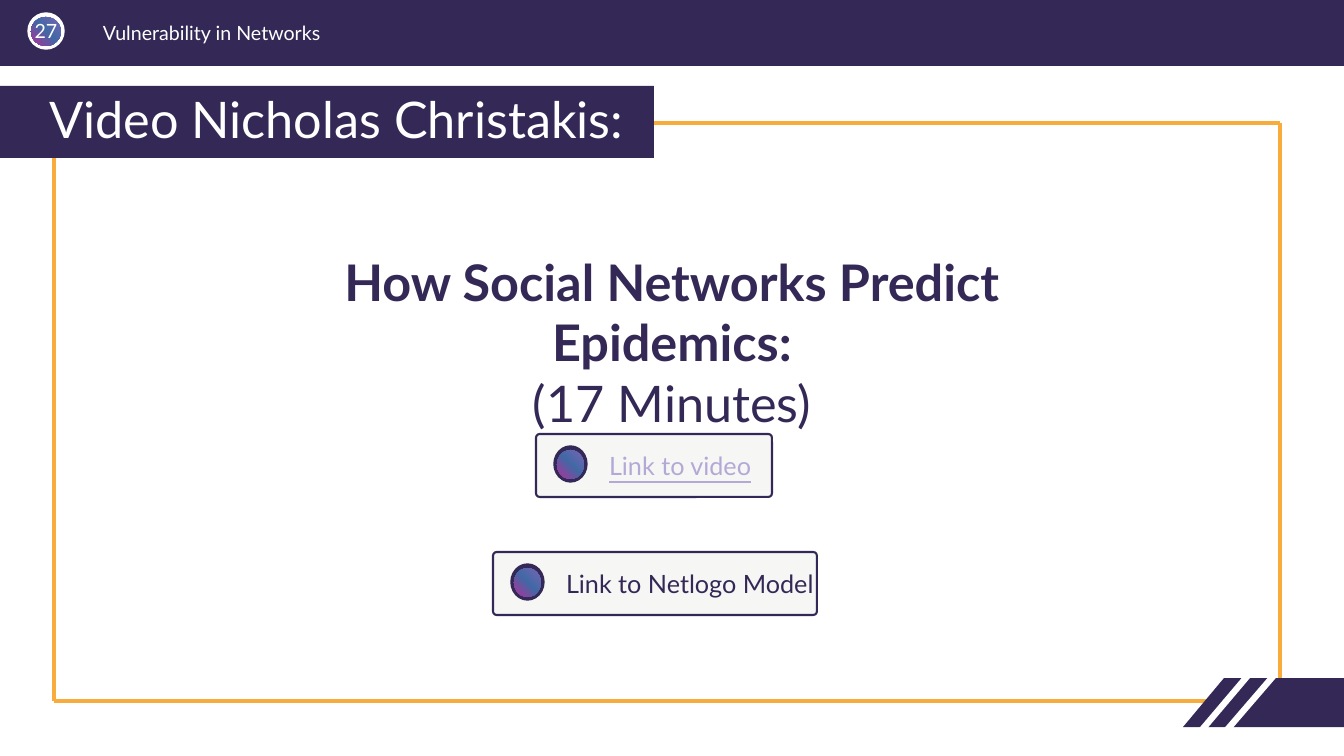
from copy import deepcopy

from pptx import Presentation
from pptx.dml.color import RGBColor
from pptx.enum.shapes import MSO_CONNECTOR, MSO_SHAPE
from pptx.enum.text import MSO_ANCHOR, PP_ALIGN
from pptx.oxml.ns import qn
from pptx.util import Emu, Pt
from lxml.etree import SubElement

SCALE = 914400 / 100.8
NAVY, GOLD, WHITE = "342956", "F7AC3B", "FFFFFF"
PALE, LILAC = "F6F6F5", "B4A9D6"
BLEND = [("7864B5", 0), ("4269A5", 0.49), ("B2329A", 1)]
TITLE_ONLY = 5


def px(num):
    """Turn pixels into EMU."""
    return Emu(round(num * SCALE))


def tint(fmt, code):
    """Set a solid fill from a hex string."""
    fmt.solid()
    fmt.fore_color.rgb = RGBColor.from_string(code)


def place(item, box):
    """Move an item to a box of left, top, width and height."""
    item.left, item.top, item.width, item.height = map(px, box)


def shape(slide, kind, box, code, edge=None, weight=1):
    """Add a flat preset shape."""
    item = slide.shapes.add_shape(kind, *map(px, box))
    item.shadow.inherit = False
    tint(item.fill, code)
    if edge:
        tint(item.line.fill, edge)
        item.line.width = Pt(weight)
    else:
        item.line.fill.background()
    return item


def line(slide, start, end, code, weight):
    """Add a straight line without a shadow."""
    item = slide.shapes.add_connector(
        MSO_CONNECTOR.STRAIGHT, *map(px, start + end))
    tint(item.line.fill, code)
    item.line.width = Pt(weight)
    SubElement(item.element.spPr, qn("a:effectLst"))


def write(frame, rows, pads, align=PP_ALIGN.LEFT, anchor=MSO_ANCHOR.TOP):
    """Fill a frame with one paragraph per (text, size, colour, style) row."""
    frame.word_wrap = True
    frame.vertical_anchor = anchor
    (frame.margin_left, frame.margin_top,
     frame.margin_right, frame.margin_bottom) = map(px, pads)
    for num, (text, size, code, style) in enumerate(rows):
        para = frame.paragraphs[0] if num == 0 else frame.add_paragraph()
        para.alignment = align
        run = para.add_run()
        run.text = text
        font = run.font
        font.name, font.size = "Lato", Pt(size)
        font.bold = style == "bold"
        font.underline = style == "under"
        tint(font.fill, code)


def label(slide, box, rows, pads, align=PP_ALIGN.LEFT):
    """Add a text box."""
    item = slide.shapes.add_textbox(*map(px, box))
    write(item.text_frame, rows, pads, align)


def badge(slide, box, rim):
    """Draw a blended disc inside a plain rim."""
    left, top, wide, high = box
    shape(slide, MSO_SHAPE.OVAL, box, rim, rim)
    disc = shape(slide, MSO_SHAPE.OVAL,
                 (left + 3, top + 4, wide - 6, high - 7), WHITE)
    fill = disc.fill
    fill.gradient()
    fill.gradient_angle = 225
    stops = fill.gradient_stops
    first = disc.element.spPr.find(".//" + qn("a:gs"))
    first.addnext(deepcopy(first))
    stops = fill.gradient_stops
    for stop, (code, spot) in zip(stops, BLEND):
        stop.color.rgb = RGBColor.from_string(code)
        stop.position = spot


def header(slide, box):
    """Draw the top band with page number and course name."""
    left, top, wide, high = box
    shape(slide, MSO_SHAPE.RECTANGLE, box, NAVY)
    badge(slide, (left + 28, top + 13, 36, 36), WHITE)
    label(slide, (left + 28, top + 19, 36, 24), [("27", 14, WHITE, "")],
          (0, 0, 0, 0), PP_ALIGN.CENTER)
    label(slide, (left + 93, top + 16, 566, 30),
          [("Vulnerability in Networks", 14, WHITE, "")], (10, 5, 10, 5))


def border(slide, box):
    """Draw the gold frame, open at the lower right."""
    left, top, wide, high = box
    right, base = left + wide, top + high
    for start, end in [((left, top), (right, top)),
                       ((right, top), (right, base - 23)),
                       ((left, top), (left, base)),
                       ((left, base), (right - 60, base))]:
        line(slide, start, end, GOLD, 2.25)


def corner(slide, box):
    """Draw the slanted corner block cut by two white stripes."""
    left, top, wide, high = box
    right, base = left + wide, top + high
    pen = slide.shapes.build_freeform(left + 41, top, scale=SCALE)
    pen.add_line_segments([(right, top), (right, base), (left, base)])
    block = pen.convert_to_shape()
    block.shadow.inherit = False
    tint(block.fill, NAVY)
    block.line.fill.background()
    for low, peak, rise in [(12, 73, 12), (37, 93, 5)]:
        line(slide, (left + low, base + 11), (left + peak, top - rise),
             WHITE, 4.5)


def heading(slide, box, text):
    """Place the title on its navy bar in front of the frame."""
    title = slide.shapes.title
    slide.shapes.element.append(title.element)
    place(title, box)
    tint(title.fill, NAVY)
    write(title.text_frame, [(text, 36, WHITE, "")], (49, 5, 10, 5),
          anchor=MSO_ANCHOR.MIDDLE)
    title.text_frame.paragraphs[0].line_spacing = 0.9


def button(slide, box, text, code, style):
    """Draw a link button with a disc at its left."""
    left, top, wide, high = box
    item = shape(slide, MSO_SHAPE.ROUNDED_RECTANGLE, box, PALE, NAVY, 1.5)
    item.adjustments[0] = 0.06
    write(item.text_frame, [(text, 18, code, style)], (72, 0, 0, 0),
          anchor=MSO_ANCHOR.MIDDLE)
    badge(slide, (left + 18, top + 12, 33, 36), NAVY)


def main():
    """Build and save the slide."""
    deck = Presentation()
    deck.slide_width, deck.slide_height = px(1344), px(756)
    slide = deck.slides.add_slide(deck.slide_layouts[TITLE_ONLY])
    header(slide, (0, 0, 1344, 66))
    border(slide, (54, 123, 1226, 578))
    corner(slide, (1183, 678, 161, 49))
    heading(slide, (0, 86, 654, 72), "Video Nicholas Christakis:")
    label(slide, (224, 246, 896, 132),
          [("How Social Networks Predict Epidemics:", 36, NAVY, "bold"),
           ("(17 Minutes)", 36, NAVY, "")], (10, 5, 10, 5), PP_ALIGN.CENTER)
    button(slide, (536, 434, 236, 63), "Link to video", LILAC, "under")
    button(slide, (493, 552, 324, 63), "Link to Netlogo Model", NAVY, "")
    deck.save("out.pptx")


if __name__ == "__main__":
    main()
